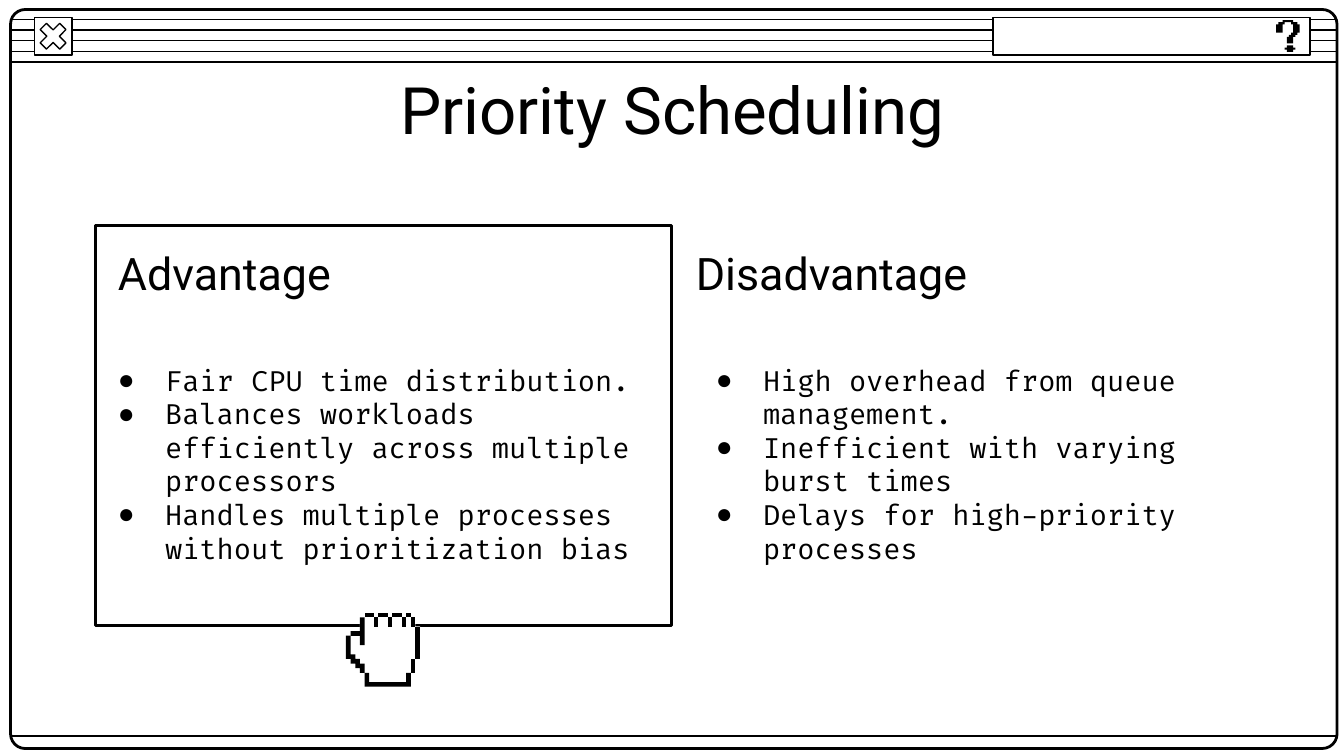
from lxml.etree import SubElement
from pptx import Presentation
from pptx.dml.color import RGBColor
from pptx.enum.shapes import MSO_CONNECTOR, MSO_SHAPE
from pptx.enum.text import MSO_ANCHOR, MSO_AUTO_SIZE, PP_ALIGN
from pptx.oxml.ns import qn
from pptx.util import Cm, Pt

BLACK, WHITE = "000000", "FFFFFF"
HEADING_FONT, BODY_FONT = "Roboto", "Fira Code"
WINDOW_LEFT, WINDOW_RIGHT = 0.2, 25.27
BAR_TOP, BUTTON_SIZE = 0.33, 0.71
HAND_PIXEL = Cm(1.4) / 16
QUESTION_PIXEL = Cm(0.04)

ADVANTAGES = [
    "Fair CPU time distribution.",
    "Balances workloads efficiently across multiple processors",
    "Handles multiple processes without prioritization bias",
]
DISADVANTAGES = [
    "High overhead from queue management.",
    "Inefficient with varying burst times",
    "Delays for high-priority processes",
]

# Pixel art: corner points as (column, row) on each icon's own grid.
QUESTION_HOOK = [
    (3, 0), (3, 1), (1, 1), (1, 2), (0, 2), (0, 6), (3, 6), (3, 2), (4, 2), (4, 1),
    (7, 1), (7, 2), (8, 2), (8, 6), (7, 6), (7, 7), (6, 7), (6, 8), (5, 8), (5, 11),
    (8, 11), (8, 8), (9, 8), (9, 7), (10, 7), (10, 6), (11, 6), (11, 2), (10, 2),
    (10, 1), (8, 1), (8, 0),
]
QUESTION_DOT = [
    (5, 12), (5, 13), (4, 13), (4, 14), (5, 14), (5, 15),
    (8, 15), (8, 14), (9, 14), (9, 13), (8, 13), (8, 12),
]
HAND_FILL = [
    (4, 0), (4, 1), (3, 1), (3, 4), (1, 4), (1, 5), (0, 5), (0, 10), (1, 10), (1, 11),
    (2, 11), (2, 12), (3, 12), (3, 13), (4, 13), (4, 16), (14, 16), (14, 13), (15, 13),
    (15, 10), (16, 10), (16, 3), (15, 3), (15, 1), (14, 1), (14, 0), (13, 0), (13, 1),
    (12, 1), (12, 0), (10, 0), (10, 1), (9, 1), (9, 0), (7, 0), (7, 1), (6, 1), (6, 0),
]
HAND_CUFF = [
    (4, 13), (4, 16), (14, 16), (14, 13), (13, 13), (13, 15), (5, 15), (5, 13),
]
HAND_THUMB_TOP = [
    (3, 1), (3, 4), (1, 4), (1, 5), (3, 5), (3, 7), (4, 7), (4, 1),
]
HAND_THUMB_SIDE = [
    (0, 5), (0, 10), (1, 10), (1, 11), (2, 11), (2, 12), (3, 12), (3, 13), (4, 13),
    (4, 11), (3, 11), (3, 10), (2, 10), (2, 9), (1, 9), (1, 5),
]
# Straight strokes of the hand: left, top, right, bottom.
HAND_STROKES = (
    [(column, 1, column + 1, 3) for column in (6, 9, 12, 14)]
    + [(column, 0, column + 2, 1) for column in (4, 7, 10)]
    + [(13, 0, 14, 1), (15, 3, 16, 10), (14, 10, 15, 13)]
)


def color(value):
    return RGBColor.from_string(value)


def add_outlined_shape(shapes, kind, left, top, width, height, fill=None, weight=0.75):
    shape = shapes.add_shape(kind, Cm(left), Cm(top), Cm(width), Cm(height))
    shape.shadow.inherit = False
    if fill:
        shape.fill.solid()
        shape.fill.fore_color.rgb = color(fill)
    else:
        shape.fill.background()
    shape.line.color.rgb = color(BLACK)
    shape.line.width = Pt(weight)
    return shape


def add_window_line(shapes, y):
    line = shapes.add_connector(
        MSO_CONNECTOR.STRAIGHT, Cm(WINDOW_LEFT), Cm(y), Cm(WINDOW_RIGHT), Cm(y)
    )
    line.line.color.rgb = color(BLACK)
    line.line.width = Pt(0.75)
    SubElement(line._element.spPr, qn("a:effectLst"))


def add_pixel_shape(shapes, points, left, top, pixel, fill=BLACK):
    builder = shapes.build_freeform(*points[0], scale=pixel)
    builder.add_line_segments(points[1:], close=True)
    shape = builder.convert_to_shape(Cm(left), Cm(top))
    shape.shadow.inherit = False
    shape.fill.solid()
    shape.fill.fore_color.rgb = color(fill)
    shape.line.fill.background()


def set_bullet(paragraph, bulleted):
    """Give the paragraph a round black bullet, or clear the inherited one."""
    properties = paragraph._p.get_or_add_pPr()
    properties.set("marL", str(Cm(1.27) if bulleted else 0))
    properties.set("indent", str(-Cm(0.89) if bulleted else 0))
    if bulleted:
        bullet_color = SubElement(properties, qn("a:buClr"))
        SubElement(bullet_color, qn("a:srgbClr"), val=BLACK)
        SubElement(properties, qn("a:buChar"), char="●")
    else:
        SubElement(properties, qn("a:buNone"))


def write_text(shape, lines, *, box, size, font=HEADING_FONT,
               align=PP_ALIGN.LEFT, bulleted=False):
    """Place a placeholder at box (left, top, width, height) and fill it."""
    shape.left, shape.top, shape.width, shape.height = (Cm(value) for value in box)
    frame = shape.text_frame
    frame.word_wrap = True
    frame.auto_size = MSO_AUTO_SIZE.NONE
    frame.vertical_anchor = MSO_ANCHOR.MIDDLE
    frame.margin_left = frame.margin_right = Cm(0.25)
    frame.margin_top = frame.margin_bottom = Cm(0.25)
    frame.text = "\n".join(lines)
    for paragraph in frame.paragraphs:
        set_bullet(paragraph, bulleted)
        paragraph.alignment = align
        paragraph.space_before = Pt(0)
        for run in paragraph.runs:
            run.font.name = font
            run.font.size = Pt(size)
            run.font.bold = False
            run.font.color.rgb = color(BLACK)


def add_window(shapes):
    for index in range(5):
        add_window_line(shapes, 0.37 + 0.2 * index)
    add_window_line(shapes, 13.91)
    frame = add_outlined_shape(shapes, MSO_SHAPE.ROUNDED_RECTANGLE, WINDOW_LEFT, 0.18,
                               WINDOW_RIGHT - WINDOW_LEFT, 13.97, weight=1.5)
    frame.adjustments[0] = 0.02
    for kind in (MSO_SHAPE.RECTANGLE, MSO_SHAPE.MATH_MULTIPLY):
        add_outlined_shape(shapes, kind, 0.65, BAR_TOP, BUTTON_SIZE, BUTTON_SIZE, WHITE)
    add_outlined_shape(shapes, MSO_SHAPE.RECTANGLE, 18.77, BAR_TOP, 5.99, BUTTON_SIZE,
                       WHITE)
    question = shapes.add_group_shape().shapes
    for points in (QUESTION_HOOK, QUESTION_DOT):
        add_pixel_shape(question, points, 24.12, 0.38, QUESTION_PIXEL)


def add_hand(shapes, left, top):
    hand = shapes.add_group_shape().shapes
    add_pixel_shape(hand, HAND_FILL, left, top, HAND_PIXEL, WHITE)
    strokes = [[(x1, y1), (x1, y2), (x2, y2), (x2, y1)]
               for x1, y1, x2, y2 in HAND_STROKES]
    for points in [HAND_CUFF, HAND_THUMB_TOP, HAND_THUMB_SIDE] + strokes:
        add_pixel_shape(hand, points, left, top, HAND_PIXEL)


def main():
    presentation = Presentation()
    presentation.slide_width, presentation.slide_height = Cm(25.4), Cm(14.29)
    slide = presentation.slides.add_slide(
        presentation.slide_layouts.get_by_name("Comparison")
    )
    title, left_heading, left_list, right_heading, right_list = slide.placeholders

    add_window(slide.shapes)
    add_outlined_shape(slide.shapes, MSO_SHAPE.RECTANGLE, 1.8, 4.26, 10.9, 7.57,
                       weight=1.5)
    write_text(title, ["Priority Scheduling"], box=(2.01, 1.24, 21.41, 1.6), size=35,
               align=PP_ALIGN.CENTER)
    write_text(left_heading, ["Advantage"], box=(1.98, 4.45, 10.52, 1.4), size=24)
    write_text(right_heading, ["Disadvantage"], box=(12.9, 4.45, 10.52, 1.4), size=24)
    write_text(left_list, ADVANTAGES, box=(1.6, 5.85, 11.3, 5.84), size=15,
               font=BODY_FONT, bulleted=True)
    write_text(right_list, DISADVANTAGES, box=(12.9, 5.85, 10.52, 5.84), size=15,
               font=BODY_FONT, bulleted=True)
    add_hand(slide.shapes, 6.54, 11.58)
    presentation.save("out.pptx")


if __name__ == "__main__":
    main()
